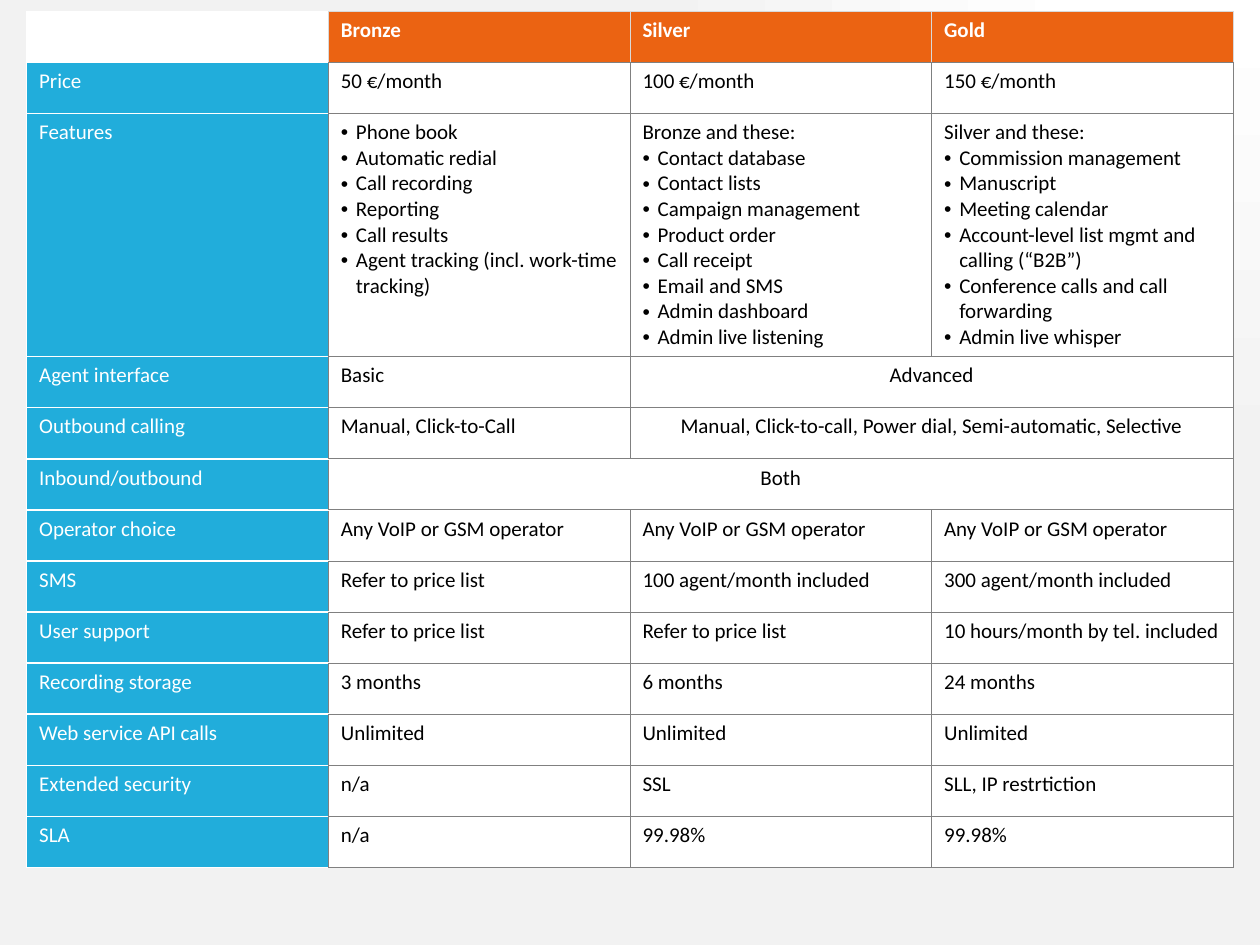
import pptx
import pptx.util
import pptx.dml.color
import pptx.enum.text
import pptx.oxml
import pptx.oxml.ns

Pt = pptx.util.Pt
qn = pptx.oxml.ns.qn
NS = pptx.oxml.ns.nsdecls("a")
COLORS = {
    "white": "FFFFFF", "black": "000000", "orange": "EB6312", "blue": "21ADDB",
    "grid": "808080", "pale": "D9D9D9", "backdrop": "F2F2F2",
}
BULLET = "\u2022"
GRID = ("grid", 0.5)
PALE = ("pale", 0.25)
EDGE = ("white", 1)
STYLES = {
    "corner": ("white", "white", False, (EDGE, PALE, EDGE, EDGE)),
    "plan": ("orange", "white", True, (PALE, PALE, PALE, GRID)),
    "label": ("blue", "white", False, (EDGE, GRID, EDGE, EDGE)),
    "body": ("white", "black", False, (GRID, GRID, GRID, GRID)),
}
FEATURES = [
    ["\u2022Phone book", "\u2022Automatic redial", "\u2022Call recording", "\u2022Reporting",
     "\u2022Call results", "\u2022Agent tracking (incl. work-time tracking)"],
    ["Bronze and these:", "\u2022Contact database", "\u2022Contact lists",
     "\u2022Campaign management", "\u2022Product order", "\u2022Call receipt",
     "\u2022Email and SMS", "\u2022Admin dashboard", "\u2022Admin live listening"],
    ["Silver and these:", "\u2022Commission management", "\u2022Manuscript",
     "\u2022Meeting calendar",
     "\u2022Account-level list mgmt and calling (\u201cB2B\u201d)",
     "\u2022Conference calls and call forwarding", "\u2022Admin live whisper"],
]
ROWS = [
    ["", "Bronze", "Silver", "Gold"],
    ["Price", "50 \u20ac/month", "100 \u20ac/month", "150 \u20ac/month"],
    ["Features"] + ["\n".join(lines) for lines in FEATURES],
    ["Agent interface", "Basic", "Advanced"],
    ["Outbound calling", "Manual, Click-to-Call",
     "Manual, Click-to-call, Power dial, Semi-automatic, Selective"],
    ["Inbound/outbound", "Both"],
    ["Operator choice"] + ["Any VoIP or GSM operator"] * 3,
    ["SMS", "Refer to price list", "100 agent/month included", "300 agent/month included"],
    ["User support", "Refer to price list", "Refer to price list",
     "10 hours/month by tel. included"],
    ["Recording storage", "3 months", "6 months", "24 months"],
    ["Web service API calls"] + ["Unlimited"] * 3,
    ["Extended security", "n/a", "SSL", "SLL, IP restrtiction"],
    ["SLA", "n/a", "99.98%", "99.98%"],
]
FEATURE_ROW = 2
COLUMNS = 4


def rgb(name):
    return pptx.dml.color.RGBColor.from_string(COLORS[name])


def set_background(s):
    fill = s.background.fill
    fill.gradient()
    for stop, name in zip(fill.gradient_stops, ("white", "backdrop")):
        stop.color.rgb = rgb(name)
    lin = next(s.background._cSld.iter(qn("a:lin")))
    lin.getparent().replace(lin, pptx.oxml.parse_xml(
        f'<a:path {NS} path="rect"><a:fillToRect l="100000" b="100000"/></a:path>'))


def set_borders(cell, borders):
    tcPr = cell._tc.get_or_add_tcPr()
    for i, (side, (name, width)) in enumerate(zip("LRTB", borders)):
        tcPr.insert(i, pptx.oxml.parse_xml(
            f'<a:ln{side} {NS} w="{Pt(width)}"><a:solidFill>'
            f'<a:srgbClr val="{COLORS[name]}"/></a:solidFill></a:ln{side}>'))


def set_bullet(p):
    pPr = p._p.get_or_add_pPr()
    pPr.set("marL", str(Pt(8.64)))
    pPr.set("indent", str(-Pt(8.64)))
    pPr.append(pptx.oxml.parse_xml(f'<a:buFont {NS} typeface="Arial"/>'))
    pPr.append(pptx.oxml.parse_xml(f'<a:buChar {NS} char="{BULLET}"/>'))


def style_cell(cell, style):
    fill, _, _, borders = STYLES[style]
    cell.fill.solid()
    cell.fill.fore_color.rgb = rgb(fill)
    set_borders(cell, borders)


def write_cell(cell, text, style, centred):
    _, color, bold, _ = STYLES[style]
    tf = cell.text_frame
    tf.text = text.replace(BULLET, "")
    for p, line in zip(tf.paragraphs, text.split("\n")):
        if centred:
            p.alignment = pptx.enum.text.PP_ALIGN.CENTER
        if line.startswith(BULLET):
            set_bullet(p)
        for r in p.runs:
            r.font.name = "Calibri"
            r.font.size = Pt(12)
            r.font.bold = bold
            r.font.color.rgb = rgb(color)


def add_plan_table(s, left, top, width, height, feature_height):
    frame = s.shapes.add_table(len(ROWS), COLUMNS, Pt(left), Pt(top), Pt(width), Pt(height))
    table = frame.table
    table.horz_banding = False
    row_height = (height - feature_height) / (len(ROWS) - 1)
    for column in table.columns:
        column.width = Pt(width / COLUMNS)
    for i, texts in enumerate(ROWS):
        table.rows[i].height = Pt(feature_height if i == FEATURE_ROW else row_height)
        for j in range(COLUMNS):
            if i == 0:
                style = "plan" if j else "corner"
            else:
                style = "body" if j else "label"
            cell = table.cell(i, j)
            style_cell(cell, style)
            if j < len(texts):
                spans = j == len(texts) - 1 and len(texts) < COLUMNS
                write_cell(cell, texts[j], style, spans)
                if spans:
                    cell.merge(table.cell(i, COLUMNS - 1))


prs = pptx.Presentation()
prs.slide_width, prs.slide_height = Pt(720), Pt(540)
s = prs.slides.add_slide(prs.slide_layouts[6])
set_background(s)
add_plan_table(s, 15.2, 6.5, 689.6, 489.2, 138.8)
prs.save("out.pptx")
